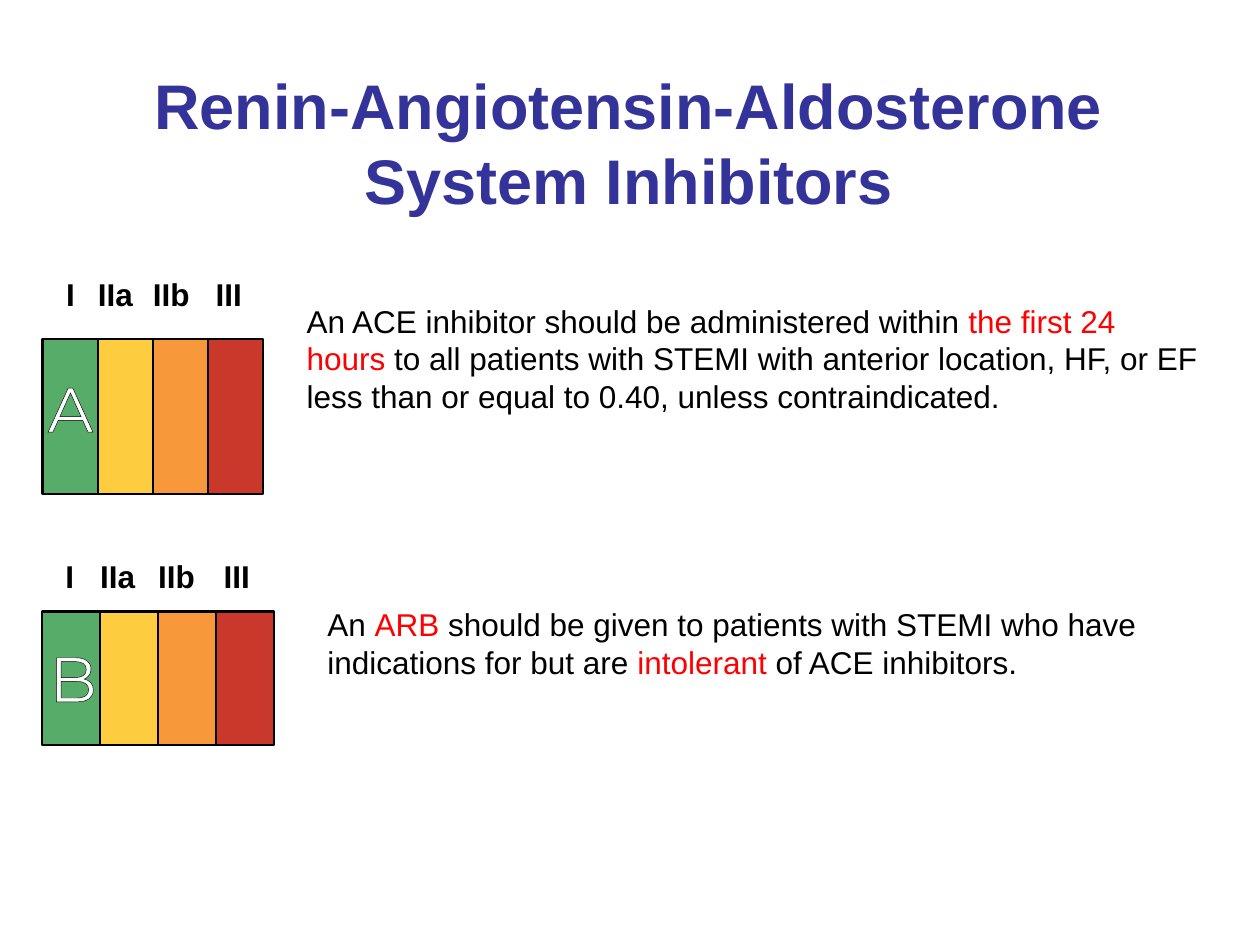
"""Build the slide on renin-angiotensin-aldosterone system inhibitors."""
from dataclasses import dataclass

from lxml import etree
from pptx import Presentation
from pptx import util as u
from pptx.dml.color import RGBColor
from pptx.enum import shapes, text
from pptx.oxml.ns import qn

COLS, ROWS = 100, 75
COLORS = {
    "title": "333399", "text": "000000", "accent": "FF0000", "letter": "FFFFFF",
    "I": "57AC69", "IIa": "FDCC3F", "IIb": "F7983A", "III": "C9382A",
}
LABELS = (("I", 1.85, 1), ("IIa", 0, 3.4), ("IIb", 0, 3.4), ("III", 0.6, 2.8))

prs = Presentation()
prs.slide_width, prs.slide_height = u.Inches(10), u.Inches(7.5)
s = prs.slides.add_slide(prs.slide_layouts[6])


@dataclass
class Box:
    """A place on the grid, in columns and rows."""
    x: float
    y: float
    w: float
    h: float

    def emu(self) -> tuple[int, ...]:
        """Return the left, top, width and height as lengths."""
        cw, rh = prs.slide_width / COLS, prs.slide_height / ROWS
        return tuple(round(v) for v in (self.x * cw, self.y * rh, self.w * cw, self.h * rh))


@dataclass
class Run:
    """A stretch of text in one colour."""
    words: str
    color: str = "text"


@dataclass
class Grade:
    """A row of class bars with its level of evidence and statement."""
    letter: str
    bars: Box
    letter_box: Box
    label_y: float
    body: Box
    runs: list[Run]


GRADES = [
    Grade("A", Box(3.4, 26.9, 4.37, 12.3), Box(3.3, 29.3, 4.6, 6.2), 21.85,
          Box(23.35, 23.45, 73, 10.1), [
              Run("An ACE inhibitor should be administered within "),
              Run("the first 24 hours ", "accent"),
              Run("to all patients with STEMI with anterior location, HF, or EF "
                  "less than or equal to 0.40, unless contraindicated.")]),
    Grade("B", Box(3.35, 48.55, 4.6, 10.6), Box(3.5, 50.7, 4.6, 6.2), 44.2,
          Box(25, 47.5, 71.4, 7.1), [
              Run("An "), Run("ARB", "accent"),
              Run(" should be given to patients with STEMI who have indications for but are "),
              Run("intolerant", "accent"), Run(" of ACE inhibitors.")]),
]


def rgb(name: str) -> RGBColor:
    """Look up a named colour."""
    return RGBColor.from_string(COLORS[name])


def add_text(parent, box: Box, runs: list[Run], size: float = 18, font: str = "Arial",
             bold: bool = False, wrap: bool = True, center: bool = False, inset: bool = True):
    """Add a one-paragraph text box and return its text frame."""
    tf = parent.add_textbox(*box.emu()).text_frame
    tf.word_wrap = wrap
    if not inset:
        tf.margin_left = tf.margin_top = tf.margin_right = tf.margin_bottom = 0
    p = tf.paragraphs[0]
    p.alignment = text.PP_ALIGN.CENTER if center else text.PP_ALIGN.LEFT
    for run in runs:
        r = p.add_run()
        r.text = run.words
        r.font.size, r.font.name, r.font.bold = u.Pt(size), font, bold
        r.font.color.rgb = rgb(run.color)
    return tf


def outline(r, color: str, width: float) -> None:
    """Draw a line around the letters of a run."""
    ln = etree.Element(qn("a:ln"), w=str(u.Pt(width)))
    fill = etree.SubElement(ln, qn("a:solidFill"))
    etree.SubElement(fill, qn("a:srgbClr"), val=COLORS[color])
    r.font._element.insert(0, ln)


def add_bar(parent, box: Box, color: str) -> None:
    """Add one coloured class bar."""
    sp = parent.add_shape(shapes.MSO_SHAPE.RECTANGLE, *box.emu())
    sp.shadow.inherit = False
    sp.fill.solid()
    sp.fill.fore_color.rgb = rgb(color)
    sp.line.color.rgb = rgb("text")
    sp.line.width = u.Pt(1.5)


def add_grade(grade: Grade) -> None:
    """Add the statement and the grouped bars, labels and letter."""
    add_text(s.shapes, grade.body, grade.runs)
    group = s.shapes.add_group_shape().shapes
    bars = grade.bars
    for i, (label, shift, width) in enumerate(LABELS):
        x = bars.x + i * bars.w
        add_bar(group, Box(x, bars.y, bars.w, bars.h), label)
        add_text(group, Box(x + shift, grade.label_y, width, 3), [Run(label)],
                 bold=True, wrap=False, inset=False)
    tf = add_text(group, grade.letter_box, [Run(grade.letter, "letter")], size=36,
                  font="Montserrat", wrap=False, center=True, inset=False)
    outline(tf.paragraphs[0].runs[0], "text", 0.75)


def main() -> None:
    """Draw the slide and save it."""
    tf = add_text(s.shapes, Box(4.9, 5, 90, 12.5),
                  [Run("Renin-Angiotensin-Aldosterone System Inhibitors", "title")],
                  size=36, bold=True, center=True)
    tf.vertical_anchor = text.MSO_ANCHOR.MIDDLE
    for grade in GRADES:
        add_grade(grade)
    prs.save("out.pptx")


if __name__ == "__main__":
    main()
